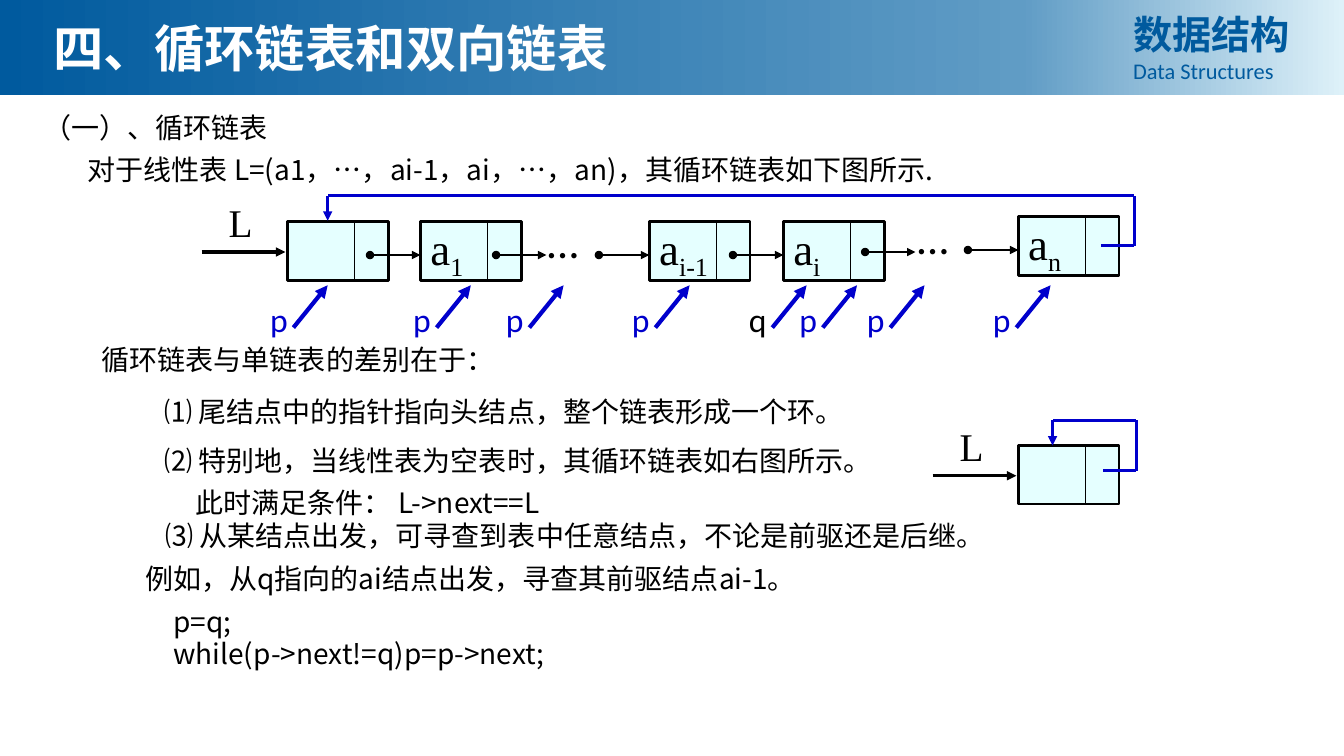
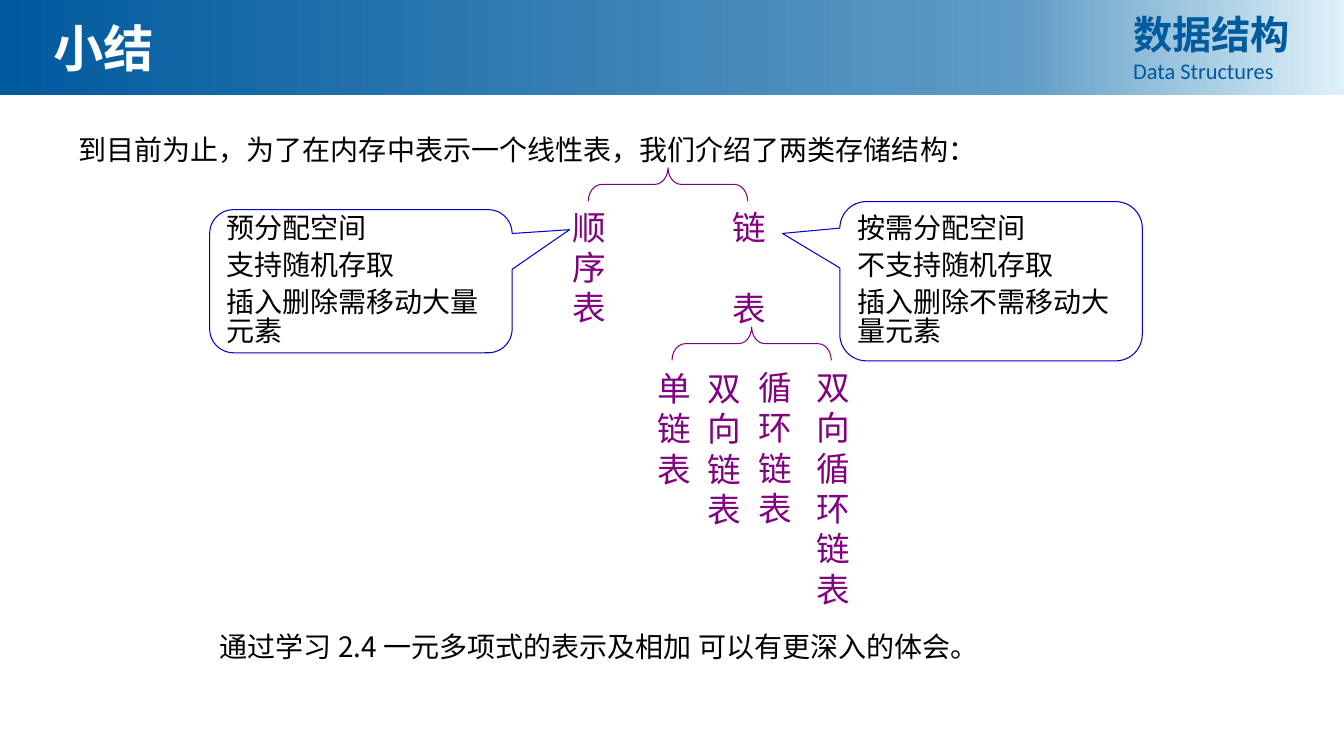
from copy import deepcopy
from itertools import cycle, pairwise

from lxml import etree
from pptx import Presentation
from pptx.dml.color import RGBColor
from pptx.enum.shapes import MSO_CONNECTOR, MSO_SHAPE
from pptx.enum.text import MSO_ANCHOR
from pptx.oxml.ns import qn
from pptx.util import Inches, Pt

RECT = MSO_SHAPE.RECTANGLE
BRACE = MSO_SHAPE.LEFT_BRACE
CALLOUT = MSO_SHAPE.ROUNDED_RECTANGULAR_CALLOUT
STRAIGHT = MSO_CONNECTOR.STRAIGHT
TOP, MIDDLE = MSO_ANCHOR.TOP, MSO_ANCHOR.MIDDLE

BLACK, WHITE, BLUE, PURPLE, NAVY = "000000", "FFFFFF", "0000CC", "800080", "005A9E"
NODE_FILL = "CCFFFF"
BAND_STOPS = [(0, NAVY), (0.76, "609CC5"), (1, "DEF1F9")]
SANS, SERIF, LATIN = "Noto Sans CJK SC", "Times New Roman", "Calibri"


def add_text(s, box, text, size=20, font=SANS, color=BLACK, bold=False, sub="", indents=(0,),
             before=6, spacing=None, anchor=TOP, shape=None, line=BLACK, line_width=0.75):
    """Add a text box, or a preset shape with text; each line of text is a paragraph."""
    box = [Inches(v) for v in box]
    if shape is None:
        sp = s.shapes.add_textbox(*box)
    else:
        sp = s.shapes.add_shape(shape, *box)
        sp.shadow.inherit = False
        sp.fill.background()
        sp.line.color.rgb = RGBColor.from_string(line)
        sp.line.width = Pt(line_width)
    tf = sp.text_frame
    tf.word_wrap = True
    tf.vertical_anchor = anchor
    for i, (content, indent) in enumerate(zip(text.split("\n"), cycle(indents))):
        p = tf.add_paragraph() if i else tf.paragraphs[0]
        pPr = p._p.get_or_add_pPr()
        pPr.set("algn", "l")
        pPr.set("indent", str(Inches(indent)))
        if i:
            p.space_before = Pt(before)
        if spacing:
            p.line_spacing = spacing
        for part in filter(None, (content, sub)):
            r = p.add_run()
            r.text = part
            r.font.size = Pt(size)
            r.font.bold = bold
            r.font.color.rgb = RGBColor.from_string(color)
            r.font.name = font
            rPr = r._r.get_or_add_rPr()
            etree.SubElement(rPr, qn("a:ea")).set("typeface", font)
            if part is sub:
                rPr.set("baseline", "-25000")
    return sp


def add_line(s, points, color=BLACK, width=2.0, head=None, tail=None):
    """Join the points with straight connectors; head and tail are the end marks."""
    segments = list(pairwise(points))
    for i, (start, end) in enumerate(segments):
        c = s.shapes.add_connector(STRAIGHT, *[Inches(v) for v in start + end])
        c.line.color.rgb = RGBColor.from_string(color)
        c.line.width = Pt(width)
        spPr = c._element.spPr
        ln = spPr.find(qn("a:ln"))
        if head and i == 0:
            etree.SubElement(ln, qn("a:headEnd")).set("type", head)
        if tail and i == len(segments) - 1:
            etree.SubElement(ln, qn("a:tailEnd")).set("type", tail)
        etree.SubElement(spPr, qn("a:effectLst"))


prs = Presentation()
prs.slide_width, prs.slide_height = Inches(13.33), Inches(7.5)

# Shared header
slides = []
for title in ("四、循环链表和双向链表", "小结"):
    s = prs.slides.add_slide(prs.slide_layouts[6])
    band = s.shapes.add_shape(RECT, 0, 0, prs.slide_width, Inches(0.94))
    band.shadow.inherit = False
    band.line.fill.background()
    band.fill.gradient()
    band.fill.gradient_angle = 0
    stop_list = band._element.spPr.find(".//" + qn("a:gsLst"))
    stop_list.append(deepcopy(stop_list[-1]))
    for stop, (position, color) in zip(band.fill.gradient_stops, BAND_STOPS):
        stop.position = position
        stop.color.rgb = RGBColor.from_string(color)
    add_text(s, (0.43, 0.12, 8.75, 0.71), title, size=36, color=WHITE, bold=True)
    course = add_text(s, (11.14, 0.05, 1.91, 0.84), "数据结构\nData Structures",
                      size=28, color=NAVY, bold=True, before=0)
    r = course.text_frame.paragraphs[1].runs[0]
    r.font.size, r.font.bold, r.font.name = Pt(16), False, LATIN
    slides.append(s)

# Circular linked list
s = slides[0]
add_text(s, (0.33, 1.05, 9.08, 0.88),
         "（一）、循环链表\n对于线性表 L=(a1，…，ai-1，ai，…，an)，其循环链表如下图所示.",
         indents=(0, 0.44))
add_text(s, (0.33, 3.35, 6.33, 0.44), "循环链表与单链表的差别在于：", indents=(0.58,))
add_text(s, (0.95, 3.87, 9.07, 0.43), "⑴ 尾结点中的指针指向头结点，整个链表形成一个环。",
         indents=(0.58,), anchor=MIDDLE)
add_text(s, (0.95, 4.33, 9.07, 0.88),
         "⑵ 特别地，当线性表为空表时，其循环链表如右图所示。\n此时满足条件： L->next==L",
         indents=(0.58, 0.89), anchor=MIDDLE)
add_text(s, (0.96, 5.1, 9.17, 0.43),
         "⑶ 从某结点出发，可寻查到表中任意结点，不论是前驱还是后继。",
         indents=(0.58,), anchor=MIDDLE)
add_text(s, (0.97, 5.52, 9.08, 0.43), "例如，从q指向的ai结点出发，寻查其前驱结点ai-1。",
         indents=(0.37,))
add_text(s, (0.62, 6.04, 9.08, 0.7), "p=q;\nwhile(p->next!=q)p=p->next;",
         indents=(1,), spacing=0.7)

# Nodes: head nodes carry no subscript and are entered from L
links = [(4.92, 2.53), (8.58, 2.5)]
for x, y, sub in [(2.85, 2.2, ""), (4.17, 2.2, "1"), (6.44, 2.2, "i-1"), (7.77, 2.2, "i"),
                  (10.1, 2.15, "n"), (10.1, 4.42, "")]:
    node = add_text(s, (x, y, 1, 0.58), "a" if sub else "", size=32, font=SERIF, sub=sub,
                    anchor=MIDDLE, shape=RECT, line_width=2)
    node.fill.solid()
    node.fill.fore_color.rgb = RGBColor.from_string(NODE_FILL)
    color_el = node._element.spPr.find(qn("a:solidFill"))[0]
    etree.SubElement(color_el, qn("a:alpha")).set("val", "50000")
    add_line(s, [(x + 0.67, y), (x + 0.67, y + 0.58)], width=0.75)
    if sub:
        links.append((x - 0.5, y + 0.33))
    else:
        add_text(s, (x - 0.68, y - 0.28, 0.44, 0.57), "L", size=28, font=SERIF)
        add_line(s, [(x - 0.85, y + 0.3), (x - 0.02, y + 0.3)], width=2.25, tail="triangle")
for x, y in links:
    add_line(s, [(x, y), (x + 0.5, y)], head="oval", tail="triangle")
for x, y in [(5.33, 2.07), (9, 2.03)]:
    add_text(s, (x, y, 0.67, 0.63), "…", size=32, font=LATIN)

# Links from the last node back to the head
for back_link in (
    [(10.92, 2.44), (11.25, 2.44), (11.25, 1.94), (3.25, 1.94), (3.25, 2.19)],
    [(10.94, 4.67), (11.27, 4.67), (11.27, 4.17), (10.44, 4.17), (10.44, 4.42)],
):
    add_line(s, back_link, color=BLUE, width=2.25, tail="triangle")

# Moving pointers
for x, name in [(2.58, "p"), (4, "p"), (4.92, "p"), (6.17, "p"), (7.33, "q"), (7.83, "p"),
                (8.5, "p"), (9.75, "p")]:
    add_text(s, (x, 2.92, 0.33, 0.5), name, size=24, font=LATIN,
             color=BLACK if name == "q" else BLUE)
    add_line(s, [(x + 0.33, 3.25), (x + 0.67, 2.83)], color=BLUE, width=3, tail="triangle")

# Summary
s = slides[1]
add_text(s, (0.1, 1.27, 9.42, 0.44),
         "到目前为止，为了在内存中表示一个线性表，我们介绍了两类存储结构：", indents=(0.58,))
add_text(s, (2.08, 6.25, 9.33, 0.39),
         "通过学习 2.4 一元多项式的表示及相加 可以有更深入的体会。", spacing=0.85)

for x, y, w, h, name in [
    (5.58, 2, 0.58, 1.31, "顺序表"),
    (7.17, 2, 0.58, 1.31, "链\n表"),
    (6.42, 3.6, 0.42, 1.31, "单链表"),
    (6.92, 3.6, 0.5, 1.72, "双向链表"),
    (7.42, 3.59, 0.5, 1.72, "循环链表"),
    (8, 3.59, 0.42, 2.52, "双向循环链表"),
]:
    add_text(s, (x, y, w, h), name, size=24, color=PURPLE, before=29)

for x, y in [(6.46, 1.04), (7.29, 2.62)]:
    brace = add_text(s, (x, y, 0.33, 1.58), "", shape=BRACE, line=PURPLE)
    brace.rotation = 90
    brace.adjustments[0] = 0.4

for box, tip, text in [
    ((2.08, 2.08, 3, 1.42), (0.69, -0.36), "预分配空间\n支持随机存取\n插入删除需移动大量元素"),
    ((8.33, 2, 3, 1.58), (-0.69, -0.3), "按需分配空间\n不支持随机存取\n插入删除不需移动大量元素"),
]:
    callout = add_text(s, box, text, spacing=0.85, anchor=MIDDLE, shape=CALLOUT, line=BLUE)
    callout.adjustments[0], callout.adjustments[1] = tip

prs.save("out.pptx")
